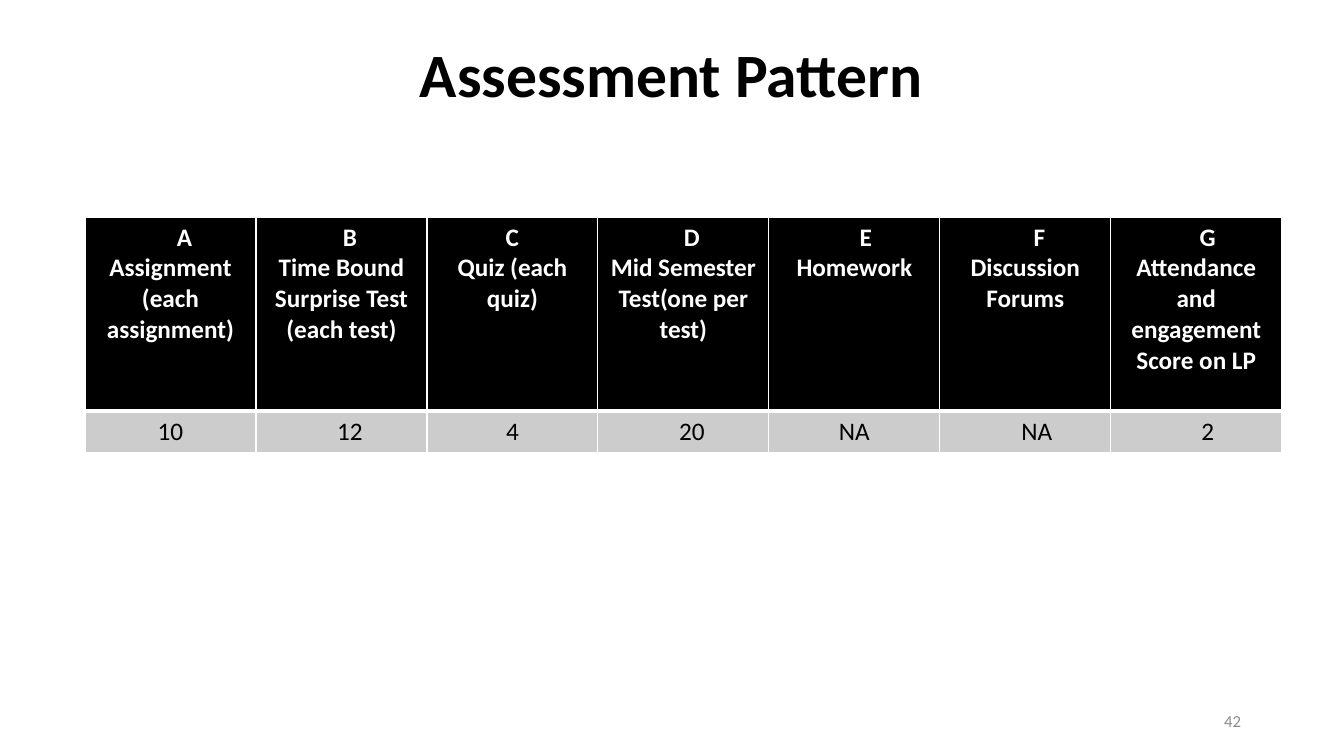
from pptx import Presentation
from pptx.dml.color import RGBColor
from pptx.enum.text import MSO_ANCHOR as ANCHOR, PP_ALIGN as ALIGN
from pptx.oxml import parse_xml
from pptx.oxml.ns import nsdecls
from pptx.util import Pt

PX = 9071.43  # EMU per pixel at 100.8 pixels to the inch


def px(n):
    """Turn pixels into EMU."""
    return round(n * PX)


def write(p, text, color, align=ALIGN.CENTER, **fmt):
    """Put one formatted run into a paragraph."""
    p.alignment = align
    r = p.add_run()
    r.text = text
    r.font.color.rgb = RGBColor.from_string(color)
    for name, value in {"name": "Calibri", **fmt}.items():
        setattr(r.font, name, value)


prs = Presentation()
prs.slide_width, prs.slide_height = px(1344), px(756)
s = prs.slides.add_slide(prs.slide_layouts[6])

# Title and slide number
labels = [
    ((92, 4, 1159, 147), "Assessment Pattern", "000000", ALIGN.CENTER, 44, True),
    ((949, 701, 302, 40), "42", "8C8C8C", ALIGN.RIGHT, 12, False),
]
for box, text, color, align, size, bold in labels:
    tf = s.shapes.add_textbox(*map(px, box)).text_frame
    tf.word_wrap = True
    tf.vertical_anchor = ANCHOR.MIDDLE
    write(tf.paragraphs[0], text, color, align, size=Pt(size), bold=bold)
    tf.paragraphs[0].line_spacing = 0.9 if bold else 1.0

# Each column: letter, its indent, component, marks, their indent
columns = [
    ("A", 28, "Assignment (each assignment)", "10", 0),
    ("B", 17, "Time Bound Surprise Test (each test)", "12", 17),
    ("C", 0, "Quiz (each quiz)", "4", 0),
    ("D", 17, "Mid Semester Test(one per test)", "20", 17),
    ("E", 23, "Homework", "NA", 0),
    ("F", 28, "Discussion Forums", "NA", 23),
    ("G", 23, "Attendance and engagement Score on LP", "2", 23),
]
COL_W, HEAD_H, MARKS_H = 171, 194, 42
table = s.shapes.add_table(2, len(columns), px(85), px(217), px(COL_W * len(columns)),
                           px(HEAD_H + MARKS_H)).table
table.rows[0].height, table.rows[1].height = px(HEAD_H), px(MARKS_H)

for c, (letter, letter_indent, component, marks, marks_indent) in enumerate(columns):
    table.columns[c].width = px(COL_W)
    rows = [
        ([(letter, letter_indent), (component, 0)], "FFFFFF", "000000", True, 3),
        ([(marks, marks_indent)], "000000", "CCCCCC", False, 1),
    ]
    for row, (lines, color, fill, bold, bottom) in enumerate(rows):
        cell = table.cell(row, c)
        tcPr = cell._tc.get_or_add_tcPr()
        for side, width in {"L": 1, "R": 1, "T": 1, "B": bottom}.items():
            tcPr.append(parse_xml(
                f'<a:ln{side} {nsdecls("a")} w="{Pt(width)}"><a:solidFill>'
                f'<a:srgbClr val="FFFFFF"/></a:solidFill></a:ln{side}>'))
        cell.fill.solid()
        cell.fill.fore_color.rgb = RGBColor.from_string(fill)
        tf = cell.text_frame
        for i, (text, indent) in enumerate(lines):
            p = tf.add_paragraph() if i else tf.paragraphs[0]
            write(p, text, color, size=Pt(18), bold=bold)
            p._p.get_or_add_pPr().set("marL", str(px(indent)))

prs.save("out.pptx")
